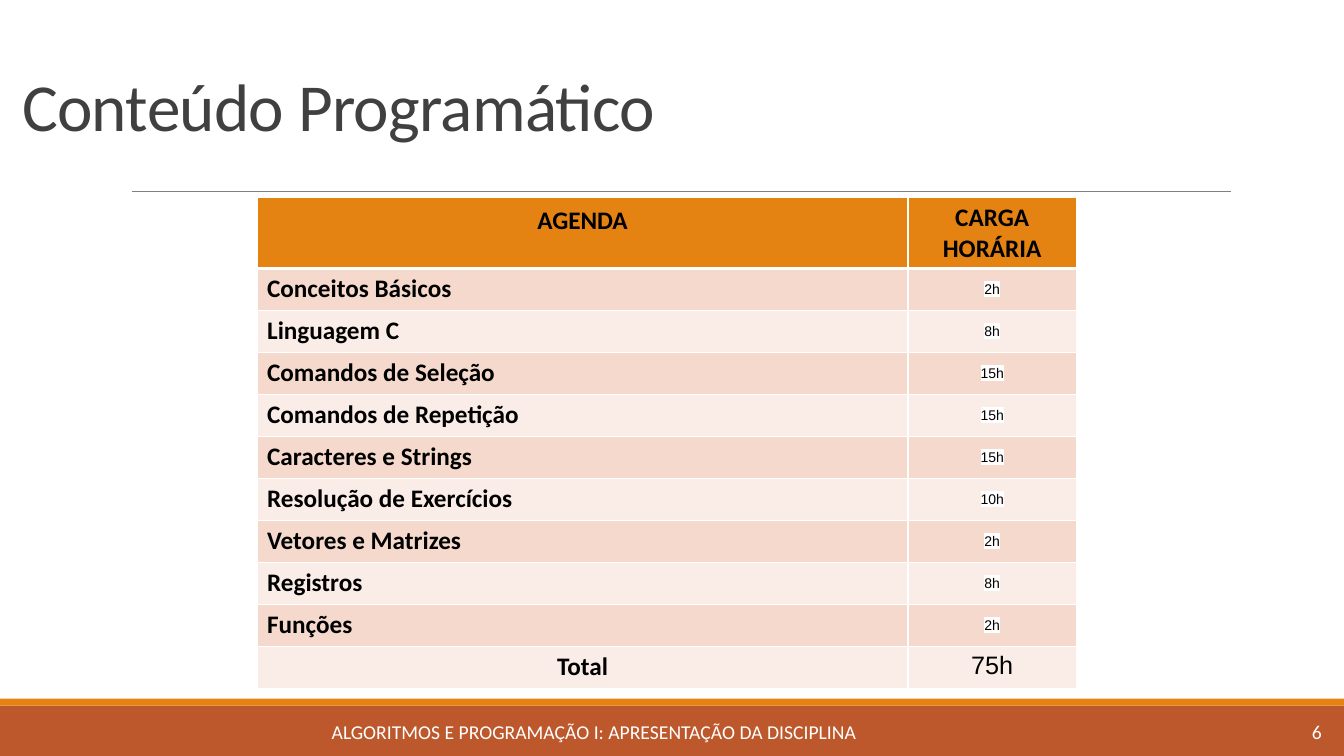
from lxml import etree
from pptx import Presentation
from pptx.dml.color import RGBColor
from pptx.enum.shapes import MSO_CONNECTOR, MSO_SHAPE
from pptx.enum.text import MSO_ANCHOR, MSO_AUTO_SIZE, PP_ALIGN
from pptx.oxml.ns import qn
from pptx.util import Pt

LEFT, CENTER, RIGHT = PP_ALIGN.LEFT, PP_ALIGN.CENTER, PP_ALIGN.RIGHT
TOP, MIDDLE = MSO_ANCHOR.TOP, MSO_ANCHOR.MIDDLE
STRAIGHT, RECT = MSO_CONNECTOR.STRAIGHT, MSO_SHAPE.RECTANGLE
NO_AUTOFIT = MSO_AUTO_SIZE.NONE

COLORS = {
    "orange": "E48312", "rust": "BD582C", "title": "404040", "rule": "808080",
    "band_dark": "F5D9CC", "band_light": "FAEDE7", "white": "FFFFFF", "black": "000000",
}
TOPICS = [
    ("Conceitos Básicos", "2h"), ("Linguagem C", "8h"), ("Comandos de Seleção", "15h"),
    ("Comandos de Repetição", "15h"), ("Caracteres e Strings", "15h"),
    ("Resolução de Exercícios", "10h"), ("Vetores e Matrizes", "2h"),
    ("Registros", "8h"), ("Funções", "2h"),
]


def rgb(name):
    return RGBColor.from_string(COLORS[name])


def add_solid(parent, color):
    fill = etree.SubElement(parent, qn("a:solidFill"))
    etree.SubElement(fill, qn("a:srgbClr"), val=COLORS[color])


def write(tf, text, size=18, font="Calibri", color="black", bold=False, align=LEFT,
          line_spacing=None, tracking=None, highlight=None):
    p = tf.paragraphs[0]
    p.alignment = align
    if line_spacing:
        p.line_spacing = line_spacing
    r = p.add_run()
    r.text = text
    r.font.size, r.font.name, r.font.bold = Pt(size), font, bold
    r.font.color.rgb = rgb(color)
    rPr = r.font._element
    if tracking:
        rPr.set("spc", str(round(tracking * 100)))
    if highlight:
        mark = etree.Element(qn("a:highlight"))
        etree.SubElement(mark, qn("a:srgbClr"), val=COLORS[highlight])
        rPr.find(qn("a:solidFill")).addnext(mark)


class SlideBuilder:
    def __init__(self, prs):
        self.slide = prs.slides.add_slide(prs.slide_layouts[5])
        self.shapes = self.slide.shapes

    def title(self, x, y, w, h, text, **style):
        sp = self.shapes.title
        sp.left, sp.top, sp.width, sp.height = Pt(x), Pt(y), Pt(w), Pt(h)
        tf = sp.text_frame
        tf.auto_size, tf.vertical_anchor = NO_AUTOFIT, MIDDLE
        write(tf, text, **style)

    def bar(self, x, y, w, h, color):
        sp = self.shapes.add_shape(RECT, Pt(x), Pt(y), Pt(w), Pt(h))
        sp.shadow.inherit = False
        sp.fill.solid()
        sp.fill.fore_color.rgb = rgb(color)
        sp.line.fill.background()

    def rule(self, x1, x2, y, color, width):
        line = self.shapes.add_connector(STRAIGHT, Pt(x1), Pt(y), Pt(x2), Pt(y))
        line.line.color.rgb, line.line.width = rgb(color), Pt(width)
        etree.SubElement(line._element.spPr, qn("a:effectLst"))

    def text(self, x, y, w, h, text, **style):
        tf = self.shapes.add_textbox(Pt(x), Pt(y), Pt(w), Pt(h)).text_frame
        tf.word_wrap, tf.vertical_anchor = True, MIDDLE
        write(tf, text, **style)

    def table(self, x, y, widths, heights):
        frame = self.shapes.add_table(len(heights), len(widths), Pt(x), Pt(y),
                                      Pt(sum(widths)), Pt(sum(heights)))
        for col, width in zip(frame.table.columns, widths):
            col.width = Pt(width)
        for row, height in zip(frame.table.rows, heights):
            row.height = Pt(height)
        return frame.table

    def cell(self, cell, text, fill, top=1, bottom=1, anchor=TOP, tight=False, **style):
        tcPr = cell._tc.get_or_add_tcPr()
        for side, width in (("L", 1), ("R", 1), ("T", top), ("B", bottom)):
            ln = etree.SubElement(tcPr, qn(f"a:ln{side}"), w=str(Pt(width)))
            add_solid(ln, "white")
        cell.fill.solid()
        cell.fill.fore_color.rgb = rgb(fill)
        cell.vertical_anchor = anchor
        if tight:
            cell.margin_left = cell.margin_right = cell.margin_top = cell.margin_bottom = 0
        write(cell.text_frame, text, **style)


prs = Presentation()
prs.slide_width, prs.slide_height = Pt(960), Pt(540)
page = SlideBuilder(prs)

# Footer bars and title rule
page.bar(0, 504, 960, 36, "rust")
page.bar(0, 499, 960, 5, "orange")
page.rule(94.3, 879, 136.6, "rule", 0.5)

# Title
page.title(8.6, 22.3, 943, 114.5, "Conteúdo Programático", size=48, color="title",
           line_spacing=0.85, tracking=-0.5)

# Footer text and page number
page.text(8.6, 508.3, 831.6, 28.8, "ALGORITMOS E PROGRAMAÇÃO I: APRESENTAÇÃO DA DISCIPLINA",
          size=14, color="white", align=CENTER)
page.text(848.2, 508.3, 103, 28.8, "6", size=14, color="white", align=RIGHT)

# Table header
table = page.table(183.6, 141.1, [465, 120.2], [50.6] + [30] * (len(TOPICS) + 1))
header = dict(fill="orange", bottom=3, bold=True, align=CENTER)
page.cell(table.cell(0, 0), "AGENDA", line_spacing=1.1, **header)
page.cell(table.cell(0, 1), "CARGA HORÁRIA", **header)

# Topics in alternating bands, then the total
bands = ("band_light", "band_dark")
for i, (topic, hours) in enumerate(TOPICS, start=1):
    band = dict(fill=bands[i % 2], top=3 if i == 1 else 1)
    page.cell(table.cell(i, 0), topic, bold=True, **band)
    page.cell(table.cell(i, 1), hours, size=10, font="Arial", align=CENTER,
              anchor=MIDDLE, tight=True, highlight="white", **band)
total = len(TOPICS) + 1
page.cell(table.cell(total, 0), "Total", bands[total % 2], bold=True, align=CENTER)
page.cell(table.cell(total, 1), "75h", bands[total % 2], font="Arial", align=CENTER)

prs.save("out.pptx")
